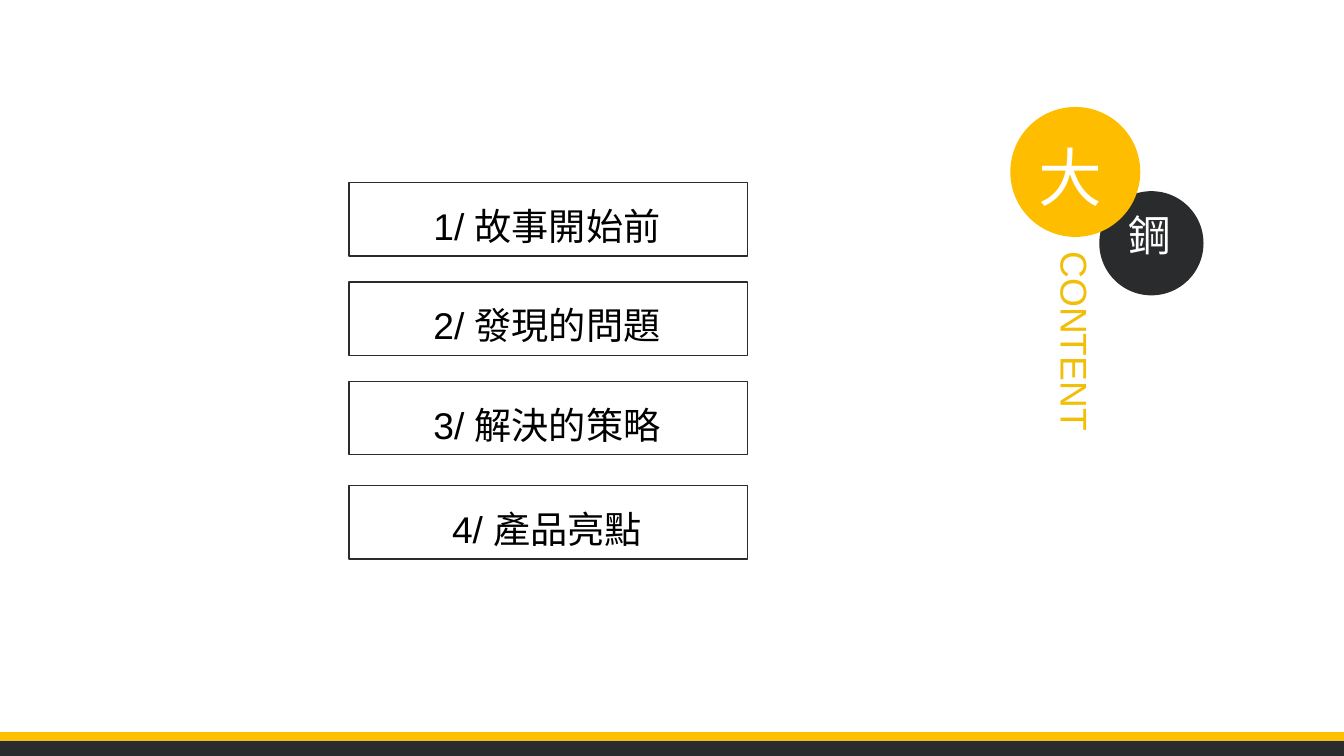
"""Build the contents slide with four numbered sections and a vertical heading."""
import pptx
import pptx.dml.color
import pptx.enum.shapes
import pptx.enum.text
import pptx.oxml
import pptx.oxml.ns
import pptx.util

Pt = pptx.util.Pt
RGBColor = pptx.dml.color.RGBColor
SHAPE = pptx.enum.shapes.MSO_SHAPE

DARK = RGBColor(0x2A, 0x2B, 0x2D)
GOLD = RGBColor(0xFF, 0xBD, 0x00)
BAR_GOLD = RGBColor(0xFF, 0xC0, 0x00)
TITLE_GOLD = RGBColor(0xF1, 0xBE, 0x08)
WHITE = RGBColor(0xFF, 0xFF, 0xFF)
BLACK = RGBColor(0x00, 0x00, 0x00)
LATIN_FONT = "Arial"
CHINESE_FONT = "Noto Sans CJK SC"

WIDTH, HEIGHT = 1012.3, 569.5
TITLE = "CONTENT"
TITLE_BOX = (789.1, 185.8, 51.8, 164.2)
CIRCLES = [
    ((828, 144, 78.5, 78.5), DARK),
    ((761, 80.6, 97.9, 97.9), GOLD),
]
HEADING = [
    ("鋼", (838.1, 154.1, 56.9, 62.6), 32),
    ("大", (769.7, 102.2, 78.5, 62.6), 48),
]
SECTIONS = [
    ("1/ 故事開始前", 137.5),
    ("2/ 發現的問題", 212.4),
    ("3/ 解決的策略", 287.3),
    ("4/ 產品亮點", 365.8),
]
FRAME_LEFT, FRAME_WIDTH, FRAME_HEIGHT = 262.8, 300.2, 55.4
LABEL_LEFT, LABEL_WIDTH, LABEL_HEIGHT, LABEL_DROP = 286.6, 250.6, 48.2, 5.4
BAR_TOP, BAR_SPLIT = 551.5, 558
BARS = [
    ((0, BAR_SPLIT, WIDTH, HEIGHT - BAR_SPLIT), DARK),
    ((0, BAR_TOP, WIDTH, BAR_SPLIT - BAR_TOP), BAR_GOLD),
]


def apply_format(target, values):
    for name, value in values.items():
        setattr(target, name, value)


def add_shape(slide, kind, box, fill=None, outline=None):
    shape = slide.shapes.add_shape(kind, *map(Pt, box))
    shape.shadow.inherit = False
    if fill is None:
        shape.fill.background()
    else:
        shape.fill.solid()
        shape.fill.fore_color.rgb = fill
    if outline is None:
        shape.line.fill.background()
    else:
        shape.line.color.rgb = outline
        shape.line.width = Pt(1)


def write_text(shape, text, size, color, font=LATIN_FONT, vertical=False, spacing=0):
    frame = shape.text_frame
    apply_format(frame, {
        "word_wrap": True,
        "auto_size": pptx.enum.text.MSO_AUTO_SIZE.SHAPE_TO_FIT_TEXT,
        "vertical_anchor": pptx.enum.text.MSO_ANCHOR.TOP,
    })
    if vertical:
        frame._txBody.bodyPr.set("vert", "eaVert")
    paragraph = frame.paragraphs[0]
    apply_format(paragraph, {
        "alignment": pptx.enum.text.PP_ALIGN.CENTER,
        "line_spacing": 1.2,
    })
    run = paragraph.add_run()
    run.text = text
    apply_format(run.font, {"size": Pt(size), "name": font})
    run.font.color.rgb = color
    properties = run._r.get_or_add_rPr()
    east_asian = pptx.oxml.parse_xml(f'<a:ea {pptx.oxml.ns.nsdecls("a")}/>')
    east_asian.set("typeface", CHINESE_FONT)
    properties.append(east_asian)
    if spacing:
        properties.set("spc", str(spacing * 100))


def main():
    presentation = pptx.Presentation()
    apply_format(presentation, {"slide_width": Pt(WIDTH), "slide_height": Pt(HEIGHT)})
    slide = presentation.slides.add_slide(presentation.slide_layouts[5])

    title = slide.shapes.title
    apply_format(title, dict(zip(("left", "top", "width", "height"), map(Pt, TITLE_BOX))))
    write_text(title, TITLE, 28, TITLE_GOLD, vertical=True)

    for box, fill in CIRCLES:
        add_shape(slide, SHAPE.OVAL, box, fill)
    for text, box, size in HEADING:
        character = slide.shapes.add_textbox(*map(Pt, box))
        write_text(character, text, size, WHITE, CHINESE_FONT, vertical=True, spacing=3)

    for text, top in SECTIONS:
        label_box = (LABEL_LEFT, top + LABEL_DROP, LABEL_WIDTH, LABEL_HEIGHT)
        label = slide.shapes.add_textbox(*map(Pt, label_box))
        write_text(label, text, 28, BLACK)
        frame_box = (FRAME_LEFT, top, FRAME_WIDTH, FRAME_HEIGHT)
        add_shape(slide, SHAPE.RECTANGLE, frame_box, outline=DARK)

    for box, fill in BARS:
        add_shape(slide, SHAPE.RECTANGLE, box, fill)

    presentation.save("out.pptx")


if __name__ == "__main__":
    main()
